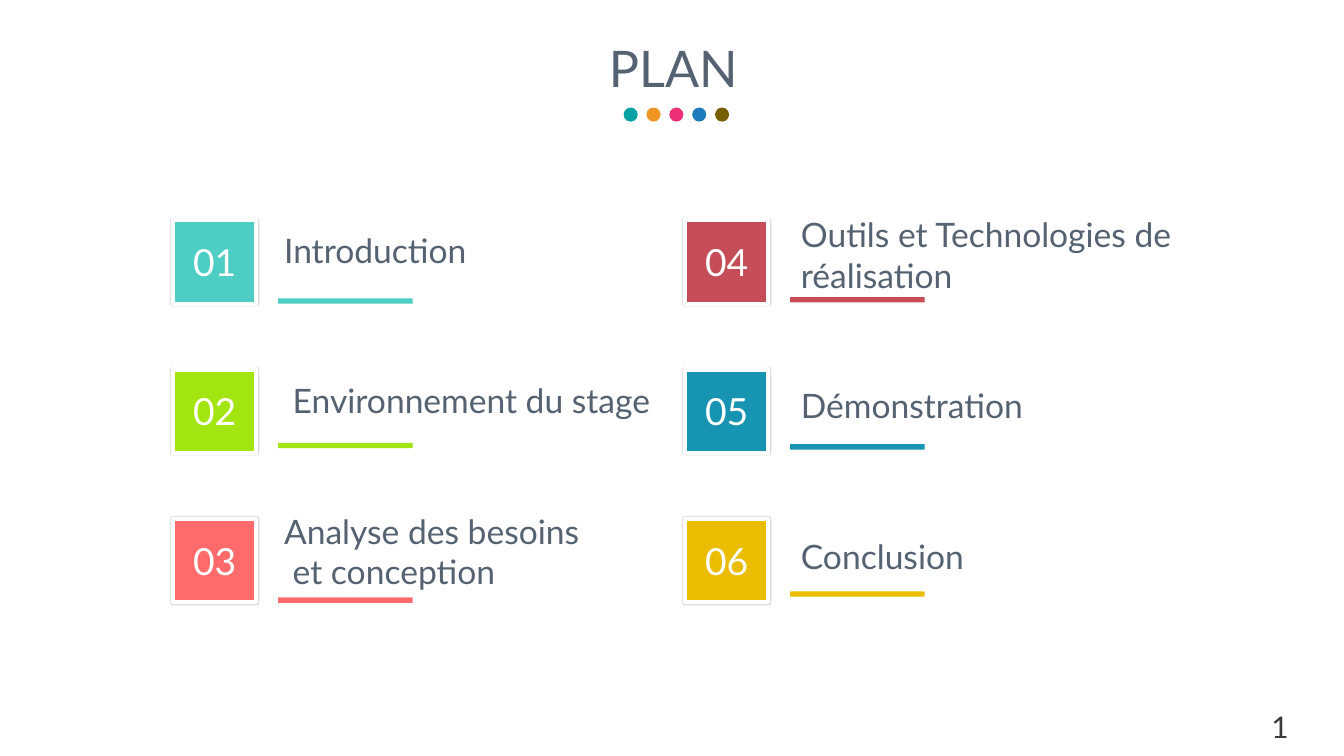
"""Builds the PLAN agenda slide."""
from dataclasses import dataclass

from lxml.etree import SubElement
from pptx import Presentation
from pptx.dml.color import RGBColor
from pptx.enum.shapes import MSO_SHAPE as Shape
from pptx.enum.text import MSO_ANCHOR as Anchor, MSO_AUTO_SIZE as AutoSize, PP_ALIGN as Align
from pptx.oxml.ns import qn
from pptx.util import Emu, Pt

EMU_PER_PX = 9144


@dataclass(frozen=True)
class Theme:
    font: str = "Lato"
    ink: str = "556272"
    page_ink: str = "3B3B3B"
    white: str = "FFFFFF"
    shadow: str = "000000"
    dots: tuple = ("03A1A4", "EE9524", "EF3078", "1C7CBB", "755E00")
    title_size: int = 54
    number_size: int = 40
    caption_size: int = 36
    page_size: int = 32
    tile_border: float = 4.5


@dataclass(frozen=True)
class Topic:
    caption: str
    color: str
    rule_top: int
    width: int = 586


@dataclass(frozen=True)
class Column:
    left: int
    caption_left: int
    caption_top: int
    topics: tuple


THEME = Theme()
TILE_TOP, TILE_PITCH, TILE_SIZE = 328, 222, 124
CAPTION_PITCH = 224
DOT_LEFT, DOT_TOP, DOT_PITCH, DOT_SIZE = 928, 160, 34, 21
COLUMNS = (
    Column(257, 413, 331, (
        Topic("Introduction", "4ECDC4", 444),
        Topic(" Environnement du stage", "A3E511", 659),
        Topic("Analyse des besoins\n et conception", "FF6B6B", 889, 600),
    )),
    Column(1019, 1182, 338, (
        Topic("Outils et Technologies de réalisation", "C54D57", 442),
        Topic("Démonstration", "1694B2", 661, 399),
        Topic("Conclusion", "EABD00", 880, 385),
    )),
)


def px(*lengths):
    return [Emu(length * EMU_PER_PX) for length in lengths]


def write(box, text, size, color, align=Align.LEFT, anchor=Anchor.MIDDLE):
    frame = box.text_frame
    frame.text = text
    frame.word_wrap = True
    frame.auto_size = AutoSize.NONE
    frame.vertical_anchor = anchor
    for para in frame.paragraphs:
        para.alignment = align
        for span in para.runs:
            span.font.name = THEME.font
            span.font.size = Pt(size)
            span.font.color.rgb = RGBColor.from_string(color)


def add_text(page, area, *style):
    write(page.shapes.add_textbox(*px(*area)), *style)


def add_block(page, kind, area, color):
    block = page.shapes.add_shape(kind, *px(*area))
    block.shadow.inherit = False
    block.fill.solid()
    block.fill.fore_color.rgb = RGBColor.from_string(color)
    block.line.fill.background()
    return block


def add_tile(page, left, top, color):
    tile = add_block(page, Shape.RECTANGLE, (left, top, TILE_SIZE, TILE_SIZE), color)
    tile.line.color.rgb = RGBColor.from_string(THEME.white)
    tile.line.width = Pt(THEME.tile_border)
    effects = tile.element.spPr.find(qn("a:effectLst"))
    shadow = SubElement(effects, qn("a:outerShdw"), blurRad=str(Pt(1)), dist="0",
                        dir="0", algn="ctr", rotWithShape="0")
    tint = SubElement(shadow, qn("a:srgbClr"), val=THEME.shadow)
    SubElement(tint, qn("a:alpha"), val="15000")


def add_title(page, text):
    title = page.shapes.title
    title.left, title.top, title.width, title.height = px(54, 36, 1896, 140)
    write(title, text, THEME.title_size, THEME.ink, Align.CENTER)
    title.text_frame.paragraphs[0].line_spacing = 0.9


def add_dots(page):
    for index, color in enumerate(THEME.dots):
        left = DOT_LEFT + index * DOT_PITCH
        add_block(page, Shape.OVAL, (left, DOT_TOP, DOT_SIZE, DOT_SIZE), color)


def add_column(page, column, first_number):
    for row, topic in enumerate(column.topics):
        top = TILE_TOP + row * TILE_PITCH
        add_block(page, Shape.RECTANGLE, (column.left + 157, topic.rule_top, 200, 8), topic.color)
        add_tile(page, column.left, top, topic.color)
        add_text(page, (column.left + 14, top + 23, 97, 77), f"{first_number + row:02d}",
                 THEME.number_size, THEME.white, Align.CENTER)
        caption_top = column.caption_top + row * CAPTION_PITCH
        add_text(page, (column.caption_left, caption_top, topic.width, 82), topic.caption,
                 THEME.caption_size, THEME.ink)


def main():
    deck = Presentation()
    deck.slide_width, deck.slide_height = px(2000, 1125)
    page = deck.slides.add_slide(deck.slide_layouts[5])
    add_title(page, "PLAN")
    first_number = 1
    for column in COLUMNS:
        add_column(page, column, first_number)
        first_number += len(column.topics)
    add_text(page, (1882, 1050, 129, 53), "1", THEME.page_size, THEME.page_ink,
             Align.LEFT, Anchor.TOP)
    add_dots(page)
    deck.save("out.pptx")


if __name__ == "__main__":
    main()
